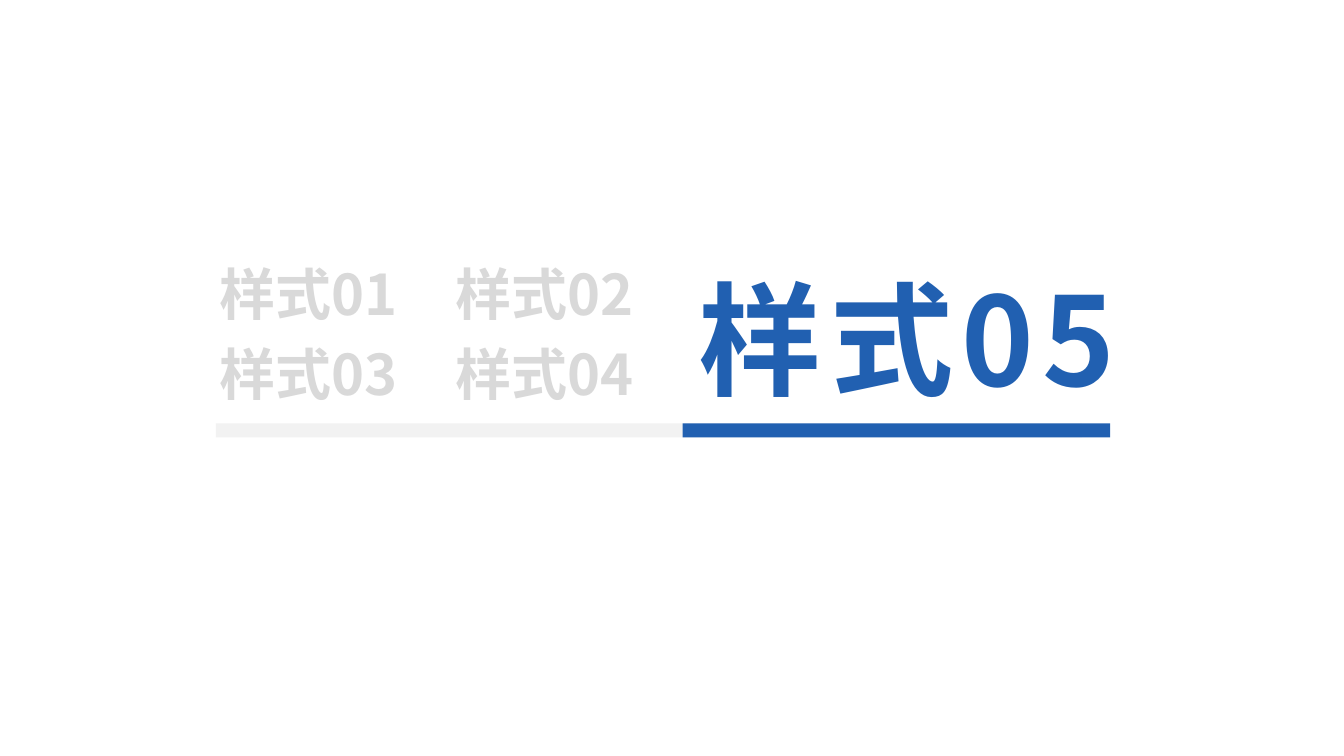
from pptx import Presentation
from pptx.dml.color import RGBColor
from pptx.enum.shapes import MSO_SHAPE
from pptx.enum.text import MSO_ANCHOR, MSO_AUTO_SIZE, PP_ALIGN
from pptx.oxml.ns import qn
from pptx.util import Inches, Pt

COLORS = {"blue": "2160B1", "gray": "D9D9D9", "track": "F2F2F2"}
FONT = "Noto Sans CJK SC"


def add_bar(page, left, top, width, height, color):
    bar = page.shapes.add_shape(
        MSO_SHAPE.RECTANGLE, Inches(left), Inches(top), Inches(width), Inches(height))
    bar.shadow.inherit = False
    bar.fill.solid()
    bar.fill.fore_color.rgb = RGBColor.from_string(COLORS[color])
    bar.line.fill.background()


def add_label(page, left, top, width, height, text, size, color, spacing=0):
    """Add a centred bold label; spacing is the letter spacing in points."""
    box = page.shapes.add_textbox(Inches(left), Inches(top), Inches(width), Inches(height))
    frame = box.text_frame
    frame.text = text
    frame.word_wrap = True
    frame.auto_size = MSO_AUTO_SIZE.SHAPE_TO_FIT_TEXT
    frame.vertical_anchor = MSO_ANCHOR.TOP
    frame.margin_left = 0
    para = frame.paragraphs[0]
    para.alignment = PP_ALIGN.CENTER
    para.line_spacing = 1.25
    span = para.runs[0]
    span.font.size = Pt(size)
    span.font.bold = True
    span.font.name = FONT
    span.font.color.rgb = RGBColor.from_string(COLORS[color])
    properties = span.font._element
    east_asian = properties.makeelement(qn("a:ea"), {"typeface": FONT})
    properties.find(qn("a:latin")).addnext(east_asian)
    if spacing:
        properties.set("spc", str(spacing * 100))


def add_progress_bar(page, left, top, height):
    add_bar(page, left, top, 8.59, height, "track")
    add_bar(page, left + 4.63, top, 4.24, height, "blue")


def add_other_styles(page, left, top, column_step, row_step):
    """Place the four inactive styles in a two by two grid."""
    for index in range(4):
        row, column = divmod(index, 2)
        add_label(page, left + column * column_step, top + row * row_step,
                  2.14, 0.87, f"样式{index + 1:02d}", 40, "gray")


def build_style_page(deck):
    page = deck.slides.add_slide(deck.slide_layouts[6])
    add_progress_bar(page, 2.14, 4.2, 0.14)
    add_label(page, 6.82, 2.2, 4.45, 1.78, "样式05", 88, "blue", spacing=6)
    add_other_styles(page, 2.04, 2.36, 2.34, 0.79)


def main():
    deck = Presentation()
    deck.slide_width = Inches(13.33)
    deck.slide_height = Inches(7.5)
    build_style_page(deck)
    deck.save("out.pptx")


if __name__ == "__main__":
    main()
